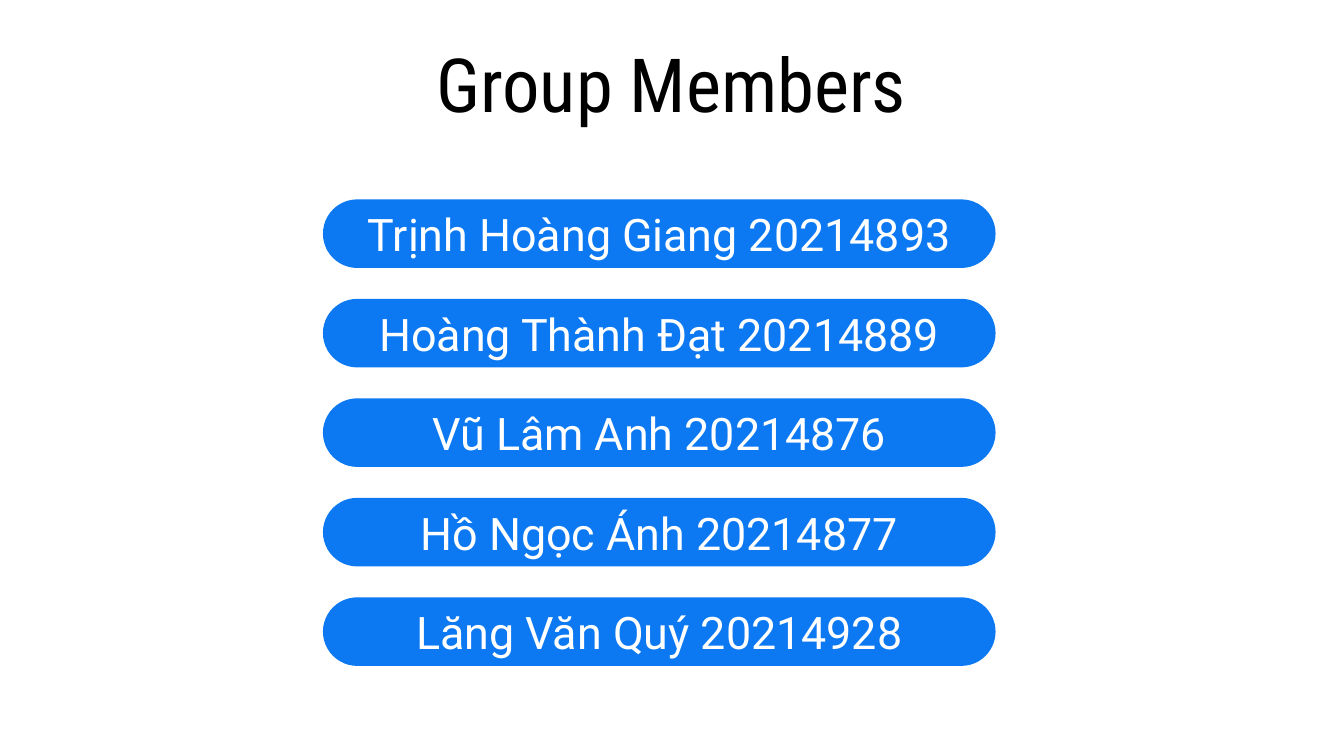
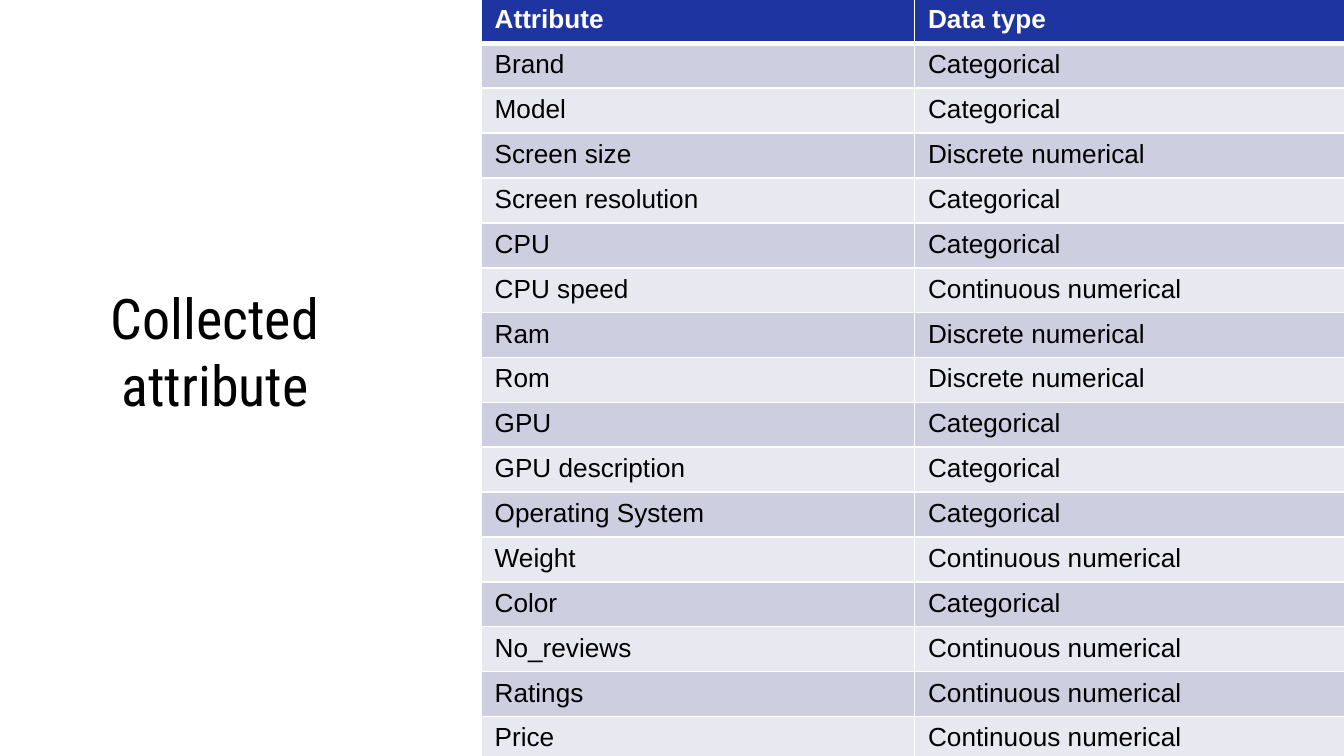
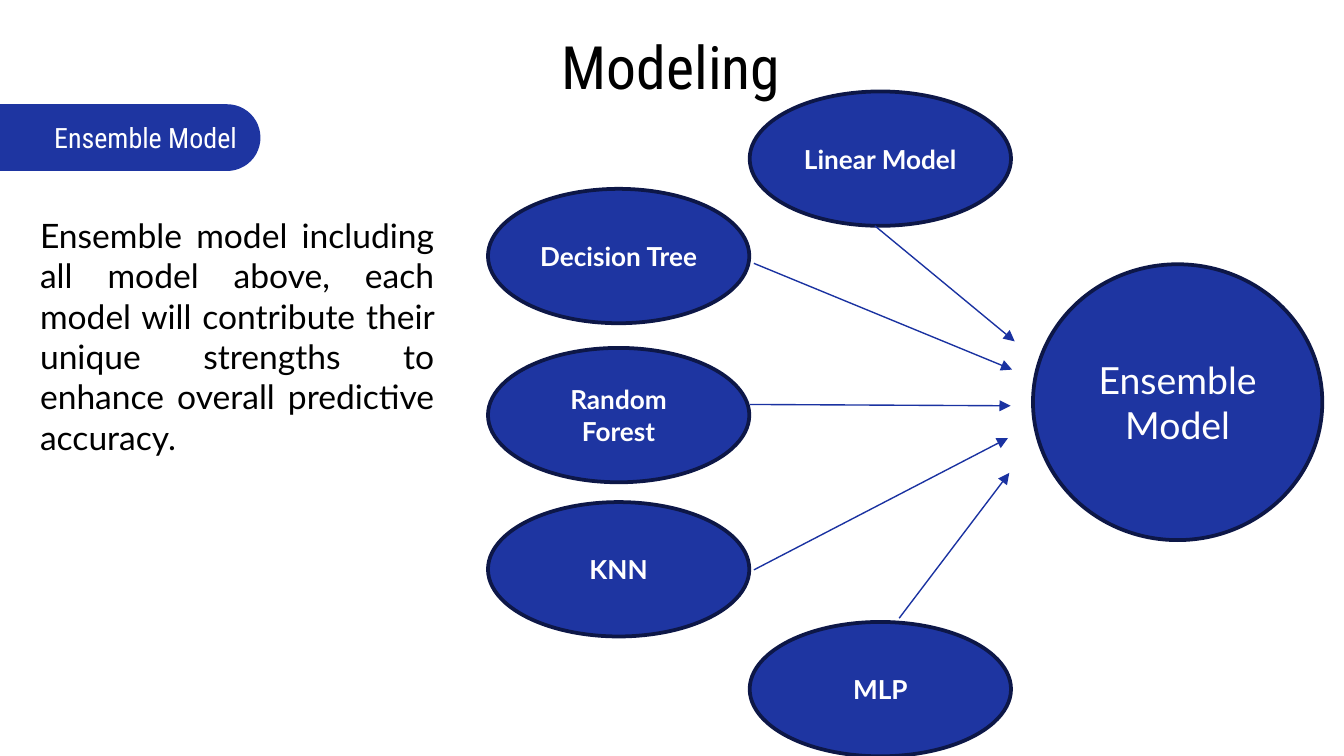
"""Build three slides on group members, collected attributes and the ensemble model."""
from dataclasses import dataclass
from typing import Any, NamedTuple

import pptx
import pptx.dml.color
import pptx.enum.shapes
import pptx.enum.text
import pptx.oxml
import pptx.oxml.ns
import pptx.util

Pt = pptx.util.Pt
Shape = pptx.enum.shapes.MSO_SHAPE
Align = pptx.enum.text.PP_ALIGN
Anchor = pptx.enum.text.MSO_ANCHOR


@dataclass(frozen=True)
class Theme:
    white: str = "FFFFFF"
    black: str = "000000"
    bright: str = "0C79F3"
    navy: str = "1E35A1"
    outline: str = "0D1747"
    arrow: str = "1A32A1"
    odd_row: str = "CDCEE0"
    even_row: str = "E8E8F0"
    title_font: str = "Roboto Condensed"
    member_font: str = "Roboto"
    table_font: str = "Arial"
    body_font: str = "Lato"
    members_title: float = 40
    modeling_title: float = 32
    side_title: float = 30
    member: float = 24
    ensemble: float = 20
    body: float = 18
    tag: float = 15
    label: float = 14


class Box(NamedTuple):
    left: float
    top: float
    width: float
    height: float


class Node(NamedTuple):
    text: str
    left: float
    top: float


class Arrow(NamedTuple):
    x1: float
    y1: float
    x2: float
    y2: float


THEME = Theme()
INSET = 7.2

MEMBERS = [
    "Trịnh Hoàng Giang 20214893",
    "Hoàng Thành Đạt 20214889",
    "Vũ Lâm Anh 20214876",
    "Hồ Ngọc Ánh 20214877",
    "Lăng Văn Quý 20214928",
]
MEMBER_TOP, MEMBER_PITCH = 107.2, 53.3

CATEGORICAL = "Categorical"
DISCRETE = "Discrete numerical"
CONTINUOUS = "Continuous numerical"
ATTRIBUTES = [
    ("Attribute", "Data type"),
    ("Brand", CATEGORICAL),
    ("Model", CATEGORICAL),
    ("Screen size", DISCRETE),
    ("Screen resolution", CATEGORICAL),
    ("CPU", CATEGORICAL),
    ("CPU speed", CONTINUOUS),
    ("Ram", DISCRETE),
    ("Rom", DISCRETE),
    ("GPU", CATEGORICAL),
    ("GPU description", CATEGORICAL),
    ("Operating System", CATEGORICAL),
    ("Weight", CONTINUOUS),
    ("Color", CATEGORICAL),
    ("No_reviews", CONTINUOUS),
    ("Ratings", CONTINUOUS),
    ("Price", CONTINUOUS),
]
ROW_HEIGHT, COLUMN_WIDTH = 24, 232.2

NODE_WIDTH, NODE_HEIGHT = 140, 72
INNER_LEFT, OUTER_LEFT = 261.4, 401.6
NODES = [
    Node("Linear Model", OUTER_LEFT, 49),
    Node("Decision Tree", INNER_LEFT, 101.2),
    Node("Random Forest", INNER_LEFT, 186.4),
    Node("KNN", INNER_LEFT, 269),
    Node("MLP", OUTER_LEFT, 333.2),
]
ARROWS = [
    Arrow(468.7, 121, 543.6, 182.9),
    Arrow(403.9, 141.1, 542.2, 198),
    Arrow(401.8, 216.7, 541.4, 217.4),
    Arrow(403.9, 305.3, 540, 234.7),
    Arrow(481.7, 331.2, 540.7, 253.4),
]


def rgb(color: str) -> pptx.dml.color.RGBColor:
    """Turn a hex string into a colour."""
    return pptx.dml.color.RGBColor.from_string(color)


def points(box: Box) -> list[pptx.util.Length]:
    """Give the four lengths of a box."""
    return [Pt(value) for value in box]


def write(tf: Any, text: str, *, size: float, font: str, color: str = THEME.white,
          bold: bool = False, align: Any = Align.CENTER) -> None:
    """Put one formatted paragraph in a text frame."""
    p = tf.paragraphs[0]
    p.alignment = align
    r = p.add_run()
    r.text = text
    r.font.size = Pt(size)
    r.font.name = font
    r.font.bold = bold
    r.font.color.rgb = rgb(color)


def set_insets(tf: Any) -> None:
    """Give a text frame equal insets on all sides."""
    tf.margin_left = tf.margin_top = tf.margin_right = tf.margin_bottom = Pt(INSET)


def add_text(slide: Any, box: Box) -> Any:
    """Add a wrapping text box and return its text frame."""
    tf = slide.shapes.add_textbox(*points(box)).text_frame
    tf.word_wrap = True
    return tf


def add_title(slide: Any, text: str, box: Box, size: float) -> None:
    """Add a centred slide title."""
    tf = add_text(slide, box)
    set_insets(tf)
    tf.vertical_anchor = Anchor.MIDDLE
    write(tf, text, size=size, font=THEME.title_font, color=THEME.black)


def add_filled(slide: Any, kind: Any, box: Box, fill: str, line: str, weight: float) -> Any:
    """Add a filled, outlined shape without shadow."""
    sp = slide.shapes.add_shape(kind, *points(box))
    sp.shadow.inherit = False
    sp.fill.solid()
    sp.fill.fore_color.rgb = rgb(fill)
    sp.line.color.rgb = rgb(line)
    sp.line.width = Pt(weight)
    sp.text_frame.word_wrap = True
    sp.text_frame.vertical_anchor = Anchor.MIDDLE
    return sp


def add_pill(slide: Any, text: str, box: Box, fill: str, **fmt: Any) -> None:
    """Add a fully rounded bar with text."""
    sp = add_filled(slide, Shape.ROUNDED_RECTANGLE, box, fill, fill, 0.75)
    sp.adjustments[0] = 0.5
    set_insets(sp.text_frame)
    write(sp.text_frame, text, **fmt)


def add_ellipse(slide: Any, text: str, box: Box, **fmt: Any) -> None:
    """Add an outlined navy ellipse with text."""
    sp = add_filled(slide, Shape.OVAL, box, THEME.navy, THEME.outline, 2)
    write(sp.text_frame, text, font=THEME.body_font, **fmt)


def add_arrow(slide: Any, arrow: Arrow) -> None:
    """Add a thin arrow with a triangle at its end."""
    straight = pptx.enum.shapes.MSO_CONNECTOR.STRAIGHT
    cxn = slide.shapes.add_connector(straight, *[Pt(value) for value in arrow])
    cxn.line.color.rgb = rgb(THEME.arrow)
    cxn.line.width = Pt(0.75)
    ns = pptx.oxml.ns.nsdecls("a")
    cxn.line._get_or_add_ln().append(pptx.oxml.parse_xml(f'<a:tailEnd {ns} type="triangle"/>'))
    cxn._element.spPr.append(pptx.oxml.parse_xml(f"<a:effectLst {ns}/>"))


def set_borders(cell: Any, top: float, bottom: float) -> None:
    """Draw white borders around a cell."""
    ns = pptx.oxml.ns.nsdecls("a")
    tc_pr = cell._tc.get_or_add_tcPr()
    weights = {"lnL": 1, "lnR": 1, "lnT": top, "lnB": bottom}
    for i, (tag, weight) in enumerate(weights.items()):
        tc_pr.insert(i, pptx.oxml.parse_xml(
            f'<a:{tag} {ns} w="{Pt(weight)}"><a:solidFill>'
            f'<a:srgbClr val="{THEME.white}"/></a:solidFill></a:{tag}>'))


def add_attribute_table(slide: Any, left: float, top: float) -> None:
    """Add the banded table of attributes and data types."""
    box = Box(left, top, 2 * COLUMN_WIDTH, ROW_HEIGHT * len(ATTRIBUTES))
    table = slide.shapes.add_table(len(ATTRIBUTES), 2, *points(box)).table
    for i, values in enumerate(ATTRIBUTES):
        header = i == 0
        band = THEME.odd_row if i % 2 else THEME.even_row
        for j, text in enumerate(values):
            cell = table.cell(i, j)
            cell.fill.solid()
            cell.fill.fore_color.rgb = rgb(THEME.navy if header else band)
            set_borders(cell, top=3 if i == 1 else 1, bottom=3 if header else 1)
            write(cell.text_frame, text, size=THEME.label, font=THEME.table_font,
                  color=THEME.white if header else THEME.black, bold=header, align=Align.LEFT)


def build_members(slide: Any) -> None:
    """Build the list of group members."""
    add_title(slide, "Group Members", Box(36.7, 25.2, 645.8, 38.2), THEME.members_title)
    for i, member in enumerate(MEMBERS):
        add_pill(slide, member, Box(173.4, MEMBER_TOP + i * MEMBER_PITCH, 359.6, 36),
                 THEME.bright, size=THEME.member, font=THEME.member_font)


def build_attributes(slide: Any) -> None:
    """Build the table of collected attributes."""
    add_attribute_table(slide, 257.8, -0.8)
    add_title(slide, "Collected attribute", Box(31.7, 158.4, 167, 59), THEME.side_title)


def build_modeling(slide: Any) -> None:
    """Build the ensemble model diagram."""
    add_title(slide, "Modeling", Box(36.7, 0, 645.8, 70.6), THEME.modeling_title)
    add_pill(slide, "Ensemble Model", Box(-51.8, 56.2, 191, 35), THEME.navy,
             size=THEME.tag, font=THEME.title_font, align=Align.RIGHT)
    for node in NODES:
        add_ellipse(slide, node.text, Box(node.left, node.top, NODE_WIDTH, NODE_HEIGHT),
                    size=THEME.label, bold=True)
    add_ellipse(slide, "Ensemble Model", Box(553.4, 141.6, 155, 147.8), size=THEME.ensemble)
    for arrow in ARROWS:
        add_arrow(slide, arrow)
    write(add_text(slide, Box(14.4, 111.6, 225.4, 157.7)),
          "Ensemble model including all model above, each model will contribute their "
          "unique strengths to enhance overall predictive accuracy.",
          size=THEME.body, font=THEME.body_font, color=THEME.black, align=Align.JUSTIFY)


def main() -> None:
    """Build and save the presentation."""
    prs = pptx.Presentation()
    prs.slide_width, prs.slide_height = Pt(720), Pt(405)
    for build in (build_members, build_attributes, build_modeling):
        build(prs.slides.add_slide(prs.slide_layouts[6]))
    prs.save("out.pptx")


if __name__ == "__main__":
    main()
